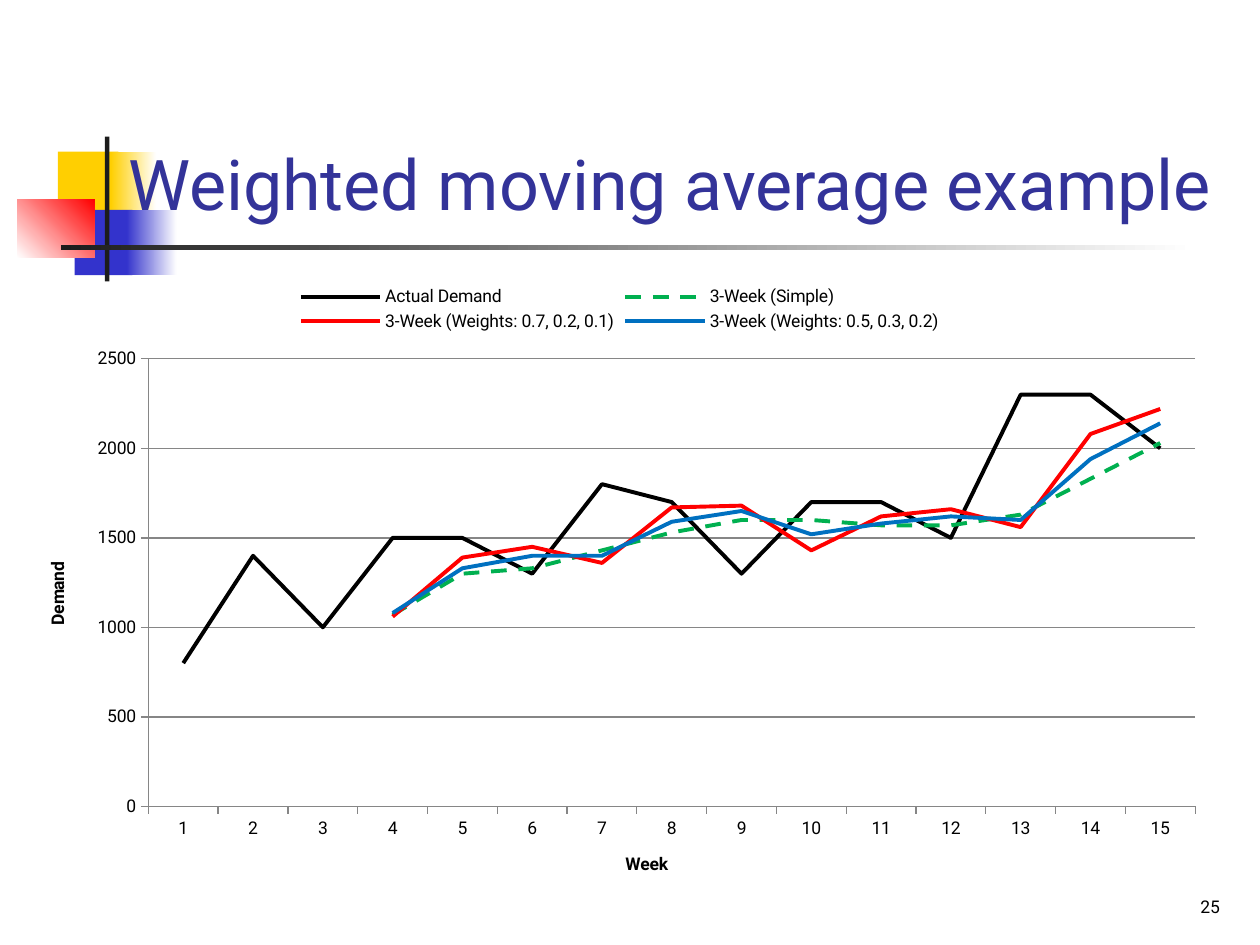
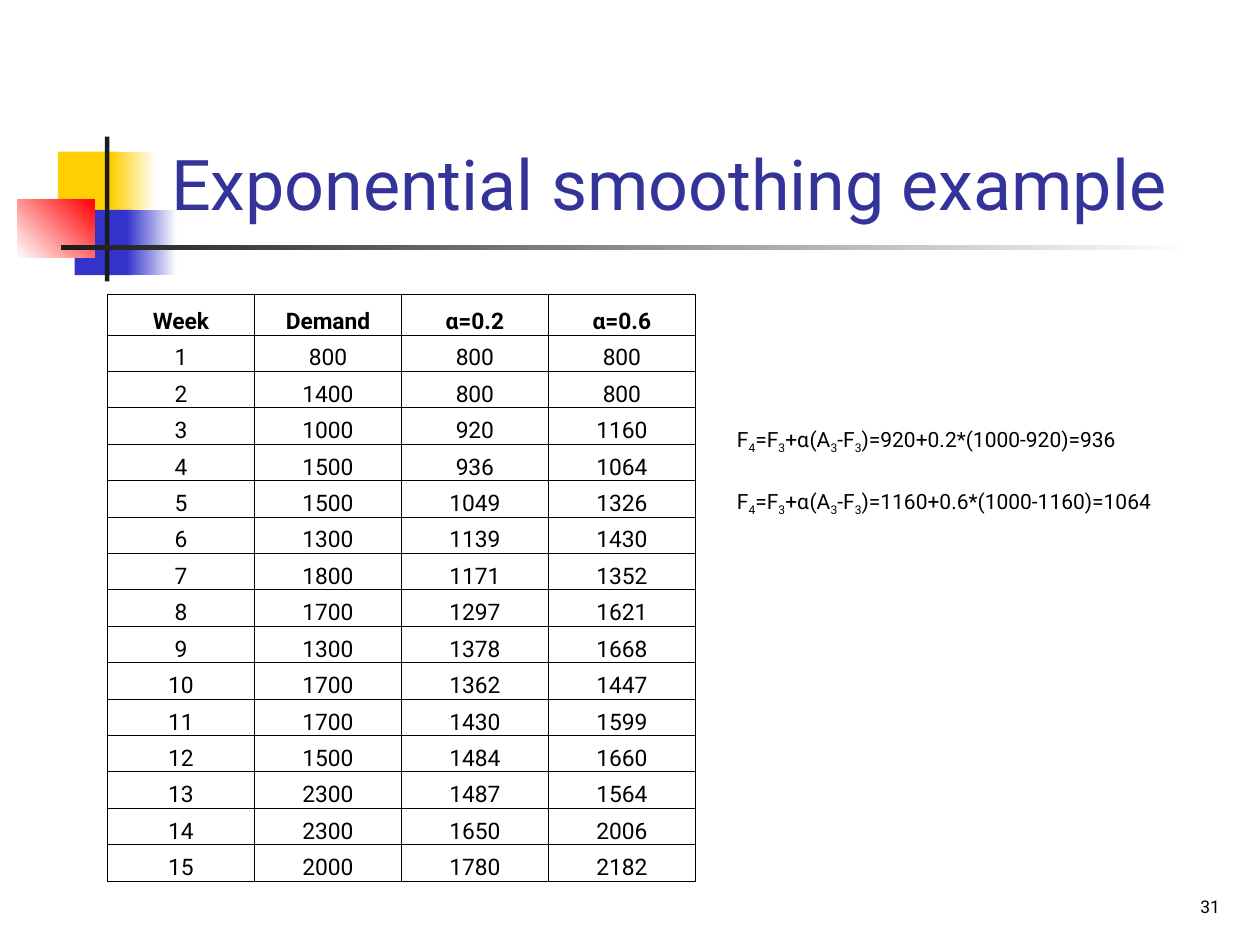
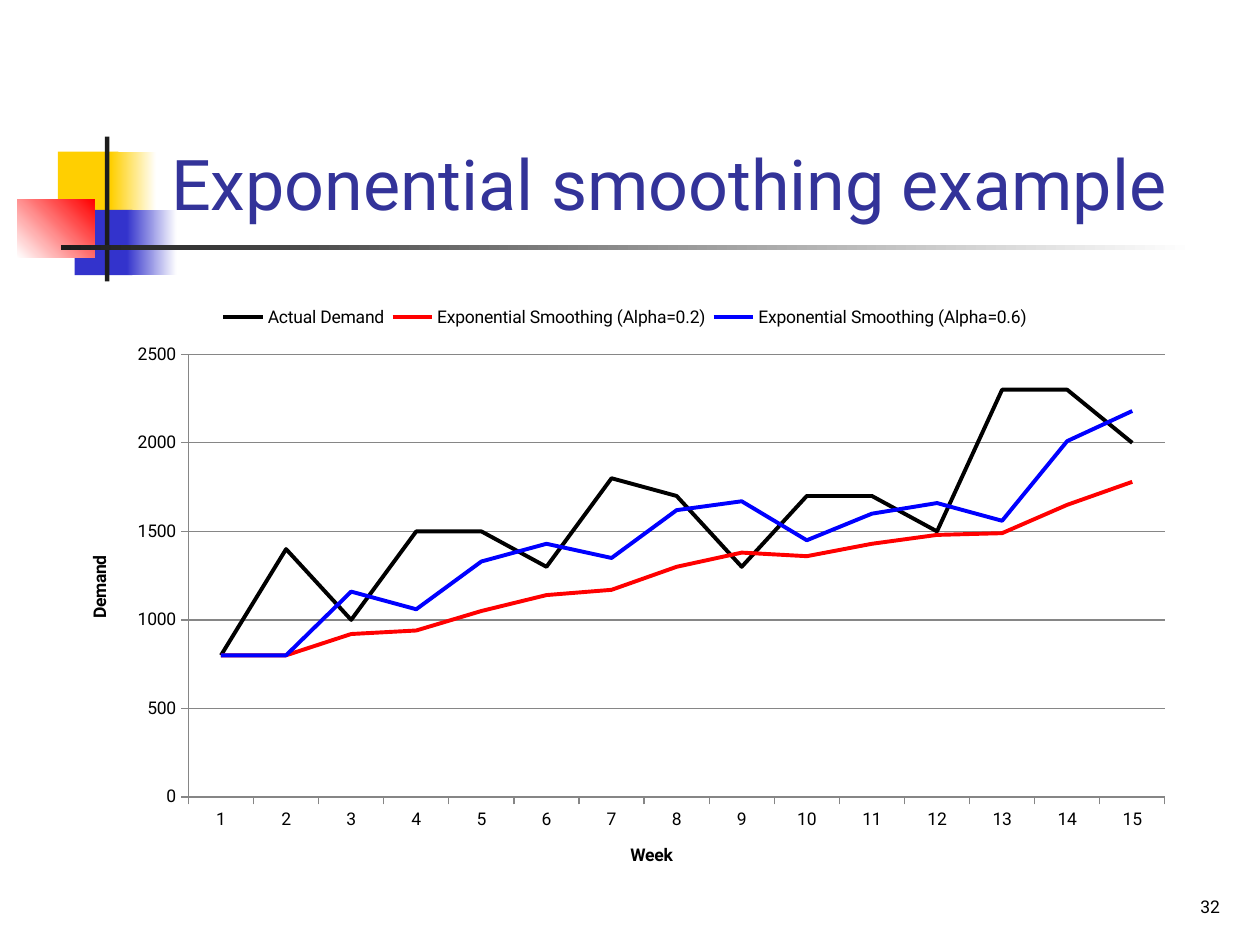
from lxml.etree import SubElement
from pptx import Presentation
from pptx.chart.data import CategoryChartData
from pptx.dml.color import RGBColor
from pptx.enum.chart import XL_CHART_TYPE, XL_LEGEND_POSITION, XL_TICK_MARK
from pptx.enum.dml import MSO_LINE
from pptx.enum.shapes import MSO_SHAPE
from pptx.enum.text import MSO_ANCHOR, PP_ALIGN
from pptx.oxml.ns import qn
from pptx.util import Pt

FONT = "Roboto"
BLACK = RGBColor(0x00, 0x00, 0x00)
WHITE = RGBColor(0xFF, 0xFF, 0xFF)
NAVY = RGBColor(0x33, 0x33, 0x99)
GOLD = RGBColor(0xFF, 0xCF, 0x01)
INDIGO = RGBColor(0x33, 0x33, 0xCC)
RED = RGBColor(0xFF, 0x00, 0x00)
INK = RGBColor(0x1C, 0x1C, 0x1C)
GREEN = RGBColor(0x00, 0xB0, 0x50)
AZURE = RGBColor(0x00, 0x70, 0xC0)
BLUE = RGBColor(0x00, 0x00, 0xFF)
GREY = RGBColor(0x86, 0x86, 0x86)

# Box, first colour, last colour (None for a plain fill), gradient angle
MOTIF = [
    ((33.1, 86.6, 34.6, 37.4), GOLD, None, 0),
    ((63.4, 86.6, 25.9, 37.4), GOLD, WHITE, 0),
    ((42.7, 119.9, 33, 37.4), INDIGO, None, 0),
    ((72.3, 119.9, 28.6, 37.4), INDIGO, WHITE, 0),
    ((9.8, 113.8, 44.2, 33.4), WHITE, RED, 45),
    ((60, 78, 2.5, 82.8), INK, None, 0),
    ((34.8, 140.2, 648, 2.5), INK, WHITE, 0),
]

WEEKS = list(range(1, 16))
DEMAND = [800, 1400, 1000, 1500, 1500, 1300, 1800, 1700,
          1300, 1700, 1700, 1500, 2300, 2300, 2000]
SLOW = [800, 800, 920, 936, 1049, 1139, 1171, 1297,
        1378, 1362, 1430, 1484, 1487, 1650, 1780]
FAST = [800, 800, 1160, 1064, 1326, 1430, 1352, 1621,
        1668, 1447, 1599, 1660, 1564, 2006, 2182]
GAP = [None] * 3
SIMPLE = GAP + [1070, 1300, 1330, 1430, 1530, 1600, 1600, 1570, 1570, 1630, 1830, 2030]
STEEP = GAP + [1060, 1390, 1450, 1360, 1670, 1680, 1430, 1620, 1660, 1560, 2080, 2220]
MILD = GAP + [1080, 1330, 1400, 1400, 1590, 1650, 1520, 1580, 1620, 1600, 1940, 2140]


def to_tens(values):
    return [round(value, -1) for value in values]


# Parts of a chart are placed in points from its top left corner
AVERAGE = {
    "box": (12.2, 156.2, 684.7, 359.3),
    "lines": [
        ("Actual Demand", DEMAND, BLACK, False),
        ("3-Week (Simple)", SIMPLE, GREEN, True),
        ("3-Week (Weights: 0.7, 0.2, 0.1)", STEEP, RED, False),
        ("3-Week (Weights: 0.5, 0.3, 0.2)", MILD, AZURE, False),
    ],
    "plot": (72.6, 48.9, 598.2, 255.8),
    "legend": (156.4, 5.2, 371, 30.5),
    "week": (343.4, 329.5),
    "demand": (12.5, 163.1),
}
SMOOTH = {
    "box": (36, 167.8, 642.2, 341.3),
    "lines": [
        ("Actual Demand", DEMAND, BLACK, False),
        ("Exponential Smoothing (Alpha=0.2)", to_tens(SLOW), RED, False),
        ("Exponential Smoothing (Alpha=0.6)", to_tens(FAST), BLUE, False),
    ],
    "plot": (71.7, 34.7, 558, 253),
    "legend": (86.7, 5.1, 468.8, 17),
    "week": (322.4, 312.6),
    "demand": (12.6, 147.8),
}

HEADS = ["Week", "Demand", "α=0.2", "α=0.6"]
ROWS = [HEADS] + list(zip(WEEKS, DEMAND, SLOW, FAST))
# Every second part between bars is a subscript
SUMS = [
    "F|4|=F|3|+ɑ(A|3|-F|3|)=920+0.2*(1000-920)=936",
    "F|4|=F|3|+ɑ(A|3|-F|3|)=1160+0.6*(1000-1160)=1064",
]
WIDE = (66.2, 16.6, 635.8, 115.2)
SLIM = (90.7, 16.6, 613.4, 115.2)


def points(box):
    return [Pt(size) for size in box]


def add_run(para, text, size, color=BLACK, bold=False):
    run = para.add_run()
    run.text = str(text)
    font = run.font
    font.name, font.size, font.bold = FONT, Pt(size), bold
    font.color.rgb = color
    return run


def add_box(slide, box, anchor):
    frame = slide.shapes.add_textbox(*points(box)).text_frame
    frame.word_wrap = True
    frame.vertical_anchor = anchor
    return frame


def add_base(deck, title, box, number):
    """Add a slide with the motif, title and page number."""
    slide = deck.slides.add_slide(deck.slide_layouts[6])
    for place, first, last, angle in MOTIF:
        shape = slide.shapes.add_shape(MSO_SHAPE.RECTANGLE, *points(place))
        shape.shadow.inherit = False
        shape.line.fill.background()
        if last is None:
            shape.fill.solid()
            shape.fill.fore_color.rgb = first
        else:
            shape.fill.gradient()
            shape.fill.gradient_angle = angle
            for stop, color in zip(shape.fill.gradient_stops, (first, last)):
                stop.color.rgb = color
    head = add_box(slide, box, MSO_ANCHOR.BOTTOM).paragraphs[0]
    add_run(head, title, 40, NAVY)
    foot = add_box(slide, (554.4, 491.8, 149.8, 36), MSO_ANCHOR.BOTTOM).paragraphs[0]
    foot.alignment = PP_ALIGN.RIGHT
    add_run(foot, number, 10)
    return slide


def set_layout(parent, index, box, frame, inner=False):
    """Pin a chart part to a box, as fractions of the chart's frame."""
    for old in parent.findall(qn("c:layout")):
        parent.remove(old)
    layout = SubElement(parent, qn("c:layout"))
    parent.insert(index, layout)
    manual = SubElement(layout, qn("c:manualLayout"))
    pairs = [("layoutTarget", "inner")] if inner else []
    pairs += [("xMode", "edge"), ("yMode", "edge")]
    pairs += [(tag, size / full) for tag, size, full in zip("xywh", box, frame[2:] * 2)]
    for tag, value in pairs:
        SubElement(manual, qn("c:" + tag)).set("val", str(value))


def style_axis(axis, title):
    axis.major_tick_mark = XL_TICK_MARK.OUTSIDE
    axis.minor_tick_mark = XL_TICK_MARK.NONE
    axis.format.line.color.rgb = GREY
    axis.format.line.width = Pt(0.75)
    add_run(axis.axis_title.text_frame.paragraphs[0], title, 10, bold=True)


def add_graph(slide, graph):
    data = CategoryChartData()
    data.categories = [str(week) for week in WEEKS]
    for name, values, _, _ in graph["lines"]:
        data.add_series(name, values)
    box = graph["box"]
    chart = slide.shapes.add_chart(XL_CHART_TYPE.LINE, *points(box), data).chart
    chart.has_title = False
    chart.font.name, chart.font.size = FONT, Pt(10)
    chart.font.color.rgb = BLACK
    chart.plots[0].vary_by_categories = False
    for series, (_, _, color, dashed) in zip(chart.plots[0].series, graph["lines"]):
        series.smooth = False
        line = series.format.line
        line.color.rgb, line.width = color, Pt(2.25)
        if dashed:
            line.dash_style = MSO_LINE.DASH
    style_axis(chart.category_axis, "Week")
    axis = chart.value_axis
    style_axis(axis, "Demand")
    axis.minimum_scale, axis.maximum_scale, axis.major_unit = 0, 2500, 500
    axis.has_major_gridlines = True
    grid = axis.major_gridlines.format.line
    grid.color.rgb, grid.width = GREY, Pt(0.75)
    chart.has_legend = True
    chart.legend.position = XL_LEGEND_POSITION.TOP
    chart.legend.include_in_layout = False

    def find(tag):
        return next(chart.element.iter(qn(tag)))

    set_layout(find("c:plotArea"), 0, graph["plot"], box, inner=True)
    set_layout(find("c:legend"), 1, graph["legend"], box)
    set_layout(find("c:catAx").find(qn("c:title")), 1, graph["week"], box)
    set_layout(find("c:valAx").find(qn("c:title")), 1, graph["demand"], box)


def add_edges(cell):
    props = cell._tc.get_or_add_tcPr()
    for side in "LRTB":
        line = SubElement(props, qn("a:ln" + side), w=str(Pt(0.5)))
        fill = SubElement(line, qn("a:solidFill"))
        SubElement(fill, qn("a:srgbClr"), val=str(BLACK))


def add_grid(slide):
    high, low, width = 23.4, 20.83, 84
    box = (61.4, 168, width * len(HEADS), high + low * len(WEEKS))
    table = slide.shapes.add_table(len(ROWS), len(HEADS), *points(box)).table
    table.first_row = table.horz_banding = False
    for column in table.columns:
        column.width = Pt(width)
    for r, row in enumerate(ROWS):
        table.rows[r].height = Pt(low if r else high)
        for c, value in enumerate(row):
            cell = table.cell(r, c)
            cell.margin_left = cell.margin_right = cell.margin_top = Pt(0.7)
            cell.margin_bottom = 0
            cell.vertical_anchor = MSO_ANCHOR.BOTTOM
            add_edges(cell)
            cell.fill.background()
            para = cell.text_frame.paragraphs[0]
            para.alignment = PP_ALIGN.CENTER
            add_run(para, value, 13, bold=r == 0)


def add_sums(slide):
    frame = add_box(slide, (414, 240.2, 267.1, 54), MSO_ANCHOR.TOP)
    for i, text in enumerate(SUMS):
        para = frame.add_paragraph() if i else frame.paragraphs[0]
        para.space_before = Pt(18.9 if i else 2.4)
        for j, part in enumerate(text.split("|")):
            run = add_run(para, part, 12)
            if j % 2:
                run.font._element.set("baseline", "-25000")


def main():
    deck = Presentation()
    deck.slide_width, deck.slide_height = Pt(720), Pt(540)
    add_graph(add_base(deck, "Weighted moving average example", WIDE, 25), AVERAGE)
    title = "Exponential smoothing example"
    slide = add_base(deck, title, SLIM, 31)
    add_sums(slide)
    add_grid(slide)
    add_graph(add_base(deck, title, SLIM, 32), SMOOTH)
    deck.save("out.pptx")


if __name__ == "__main__":
    main()
